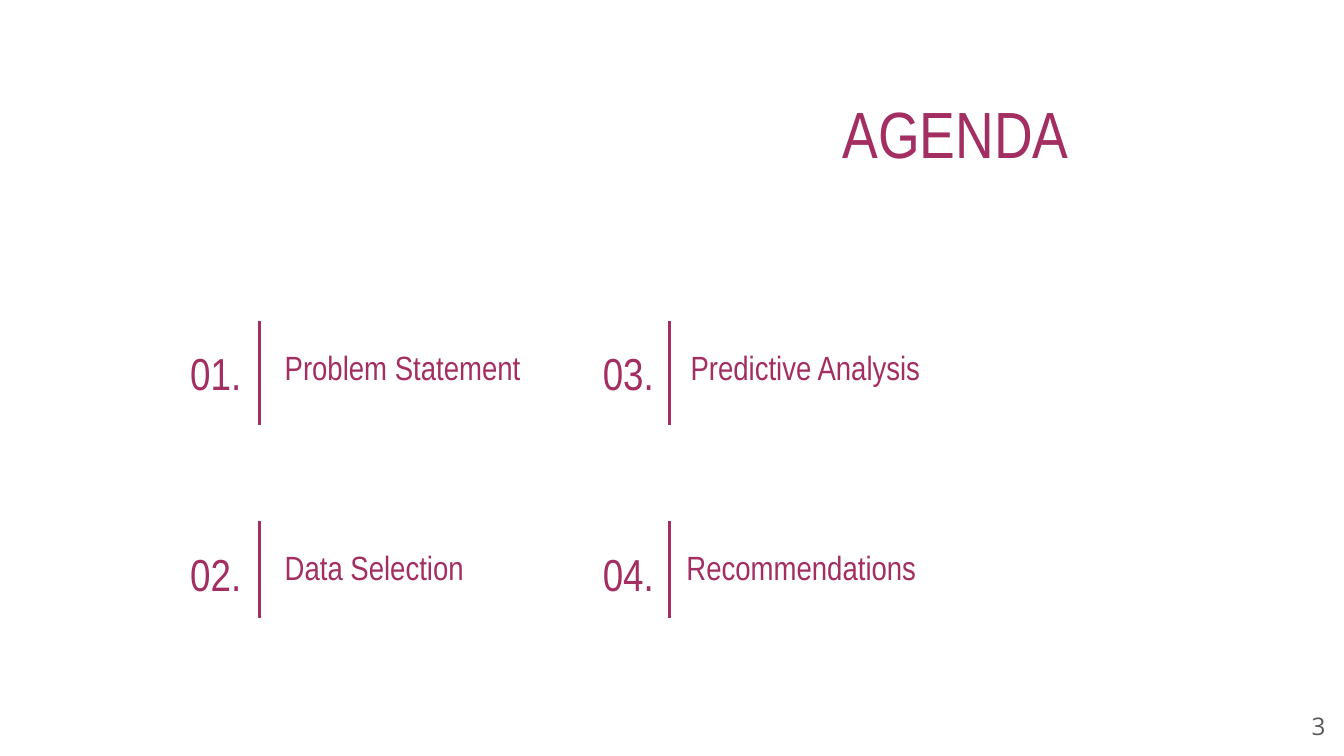
import pptx
import pptx.dml.color
import pptx.enum.shapes
import pptx.enum.text
import pptx.oxml
import pptx.util

Inches = pptx.util.Inches
Align = pptx.enum.text.PP_ALIGN
Anchor = pptx.enum.text.MSO_ANCHOR
BERRY = pptx.dml.color.RGBColor(0xA3, 0x2E, 0x61)
GREY = pptx.dml.color.RGBColor(0x59, 0x59, 0x59)


def add_text(slide, text, left, top, width, height, size, font="Arial Narrow",
             color=BERRY, align=Align.LEFT, anchor=Anchor.TOP):
    """Add a wrapped one-paragraph text box."""
    shape = slide.shapes.add_textbox(Inches(left), Inches(top), Inches(width), Inches(height))
    frame = shape.text_frame
    frame.word_wrap = True
    frame.vertical_anchor = anchor
    frame.margin_left = frame.margin_right = Inches(0.1)
    frame.margin_top = frame.margin_bottom = Inches(0.1)
    paragraph = frame.paragraphs[0]
    paragraph.alignment = align
    run = paragraph.add_run()
    run.text = text
    run.font.size = pptx.util.Pt(size)
    run.font.name = font
    run.font.color.rgb = color


def add_divider(slide, x, top, height):
    """Add a vertical rule."""
    line = slide.shapes.add_connector(
        pptx.enum.shapes.MSO_CONNECTOR.STRAIGHT,
        Inches(x), Inches(top), Inches(x), Inches(top + height))
    line.line.color.rgb = BERRY
    line.line.width = pptx.util.Pt(1.5)
    properties = line._element.spPr
    properties.append(pptx.oxml.parse_xml(
        '<a:effectLst xmlns:a="http://schemas.openxmlformats.org/drawingml/2006/main"/>'))


def add_agenda_item(slide, number, topic, left, top, rule_offset, rule_height, topic_offset):
    """Add a number, its divider and its topic from the item's top left corner."""
    add_text(slide, f"{number:02d}.", left, top, 0.77, 0.77, 24,
             align=Align.CENTER, anchor=Anchor.MIDDLE)
    add_divider(slide, left + rule_offset, top, rule_height)
    add_text(slide, topic, left + topic_offset, top + 0.09, 2.93, 0.6, 18)


def add_agenda(slide, left, top):
    """Add the two-by-two agenda, numbered down each column."""
    columns = [
        (0, 0.71, [("Problem Statement", 0.8), ("Data Selection", 0.8)]),
        (3.07, 0.69, [("Predictive Analysis", 0.75), ("Recommendations", 0.72)]),
    ]
    rows = [(0, 0.77), (1.49, 0.72)]
    number = 1
    for column_left, rule_offset, topics in columns:
        for (row_top, rule_height), (topic, topic_offset) in zip(rows, topics):
            add_agenda_item(slide, number, topic, left + column_left, top + row_top,
                            rule_offset, rule_height, topic_offset)
            number += 1


def main():
    """Build and save the 16:9 agenda slide."""
    presentation = pptx.Presentation()
    presentation.slide_width = Inches(10)
    presentation.slide_height = Inches(10 * 9 / 16)
    slide = presentation.slides.add_slide(presentation.slide_layouts[6])
    add_agenda(slide, 1.22, 2.39)
    add_text(slide, "AGENDA", 5, 0.59, 4.22, 0.92, 35, align=Align.CENTER)
    add_text(slide, "3", 9.36, 5.19, 0.6, 0.43, 13, font="Open Sans",
             color=GREY, align=Align.RIGHT)
    presentation.save("out.pptx")


if __name__ == "__main__":
    main()
